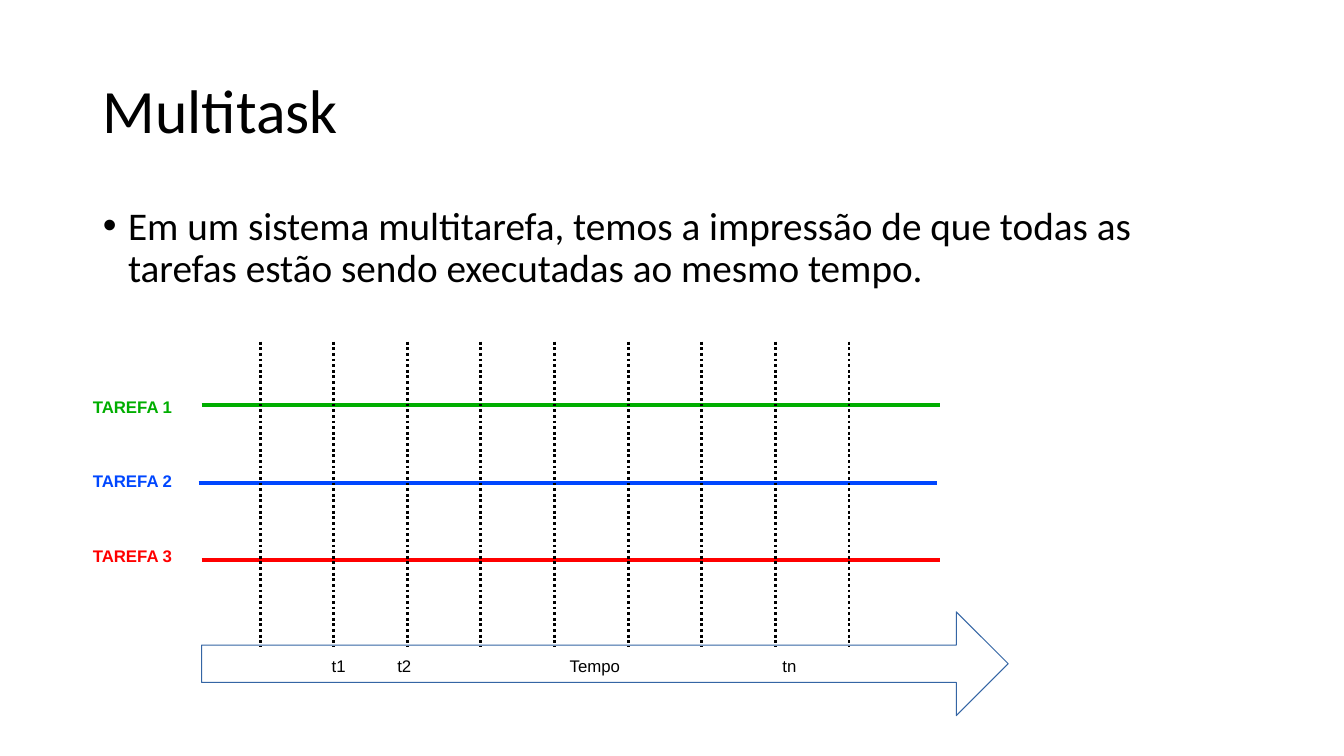
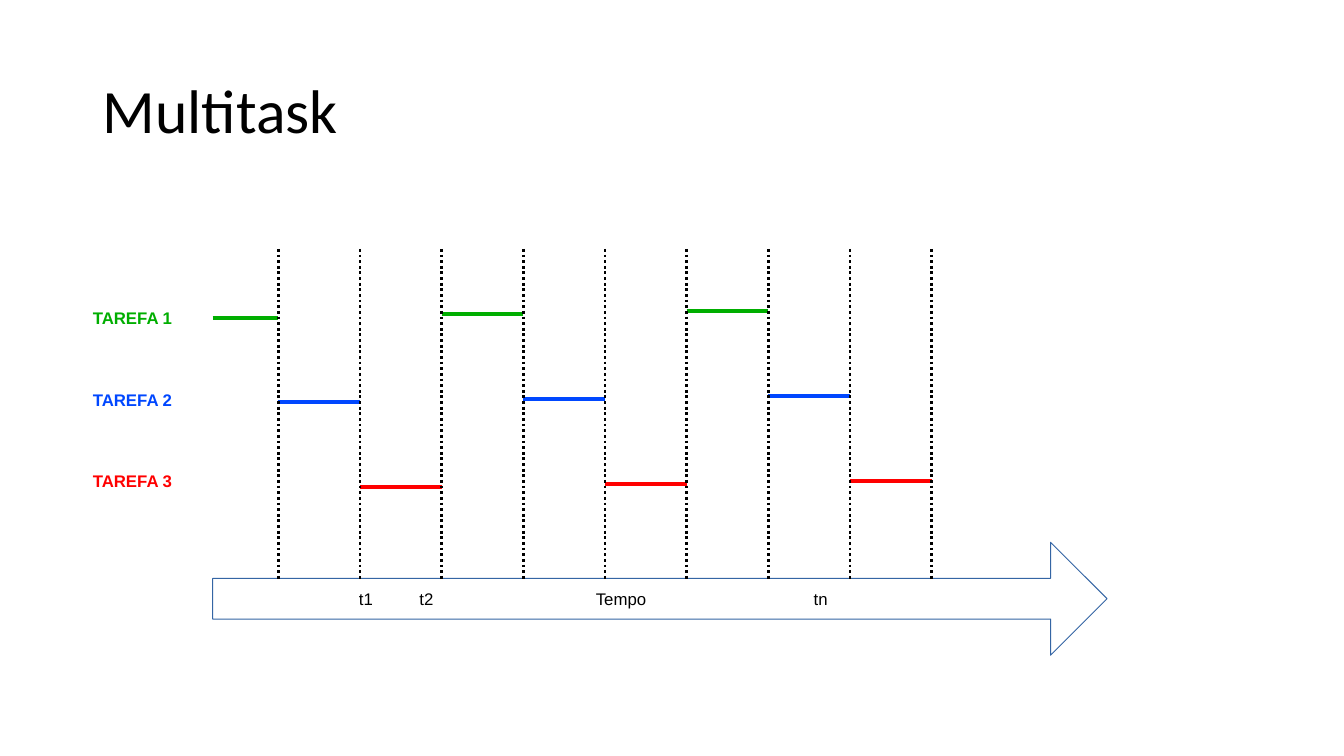
from dataclasses import dataclass

from lxml.etree import SubElement
from pptx import Presentation
from pptx.dml.color import RGBColor
from pptx.enum.dml import MSO_LINE
from pptx.enum.shapes import MSO_CONNECTOR, MSO_SHAPE
from pptx.enum.text import MSO_ANCHOR, MSO_AUTO_SIZE, PP_ALIGN
from pptx.oxml.ns import qn
from pptx.util import Inches, Pt

SLIDE_W, SLIDE_H = 13.33, 7.5
MARGIN = 0.92
CONTENT_W = 11.5
BLACK, ARROW_BLUE = "000000", "3465A4"
TASKS = [("TAREFA 1", "00AE00"), ("TAREFA 2", "0047FF"), ("TAREFA 3", "FF0000")]
TIME_LABELS = ["t1", "t2", "Tempo", "tn"]
TICK_COUNT = 9
TASK_LINE = 2.83
HAIRLINE = 0


@dataclass
class Timeline:
    """Measures of one task diagram, in inches."""
    left: float
    first_tick: float
    step: float
    top: float
    bottom: float
    lane_top: float
    lane_gap: float
    label_top: float
    label_gap: float
    label_size: tuple
    arrow_top: float
    arrow_size: tuple
    time_box: tuple
    time_tabs: tuple

    def tick(self, index):
        """Return the x position of a time tick."""
        return self.first_tick + index * self.step

    def lane(self, task):
        """Return the y position of a task's lane."""
        return self.lane_top + task * self.lane_gap


PARALLEL = Timeline(
    left=2, first_tick=2.58, step=0.73, top=3.39, bottom=6.41,
    lane_top=4.02, lane_gap=0.77, label_top=3.92, label_gap=0.74,
    label_size=(1.18, 0.35), arrow_top=6.07, arrow_size=(8, 1.03),
    time_box=(3.29, 6.49, 6.98, 0.35), time_tabs=(0.65, 2.36, 4.47))
ALTERNATING = Timeline(
    left=2.11, first_tick=2.76, step=0.81, top=2.47, bottom=5.76,
    lane_top=3.15, lane_gap=0.84, label_top=3.04, label_gap=0.81,
    label_size=(1.29, 0.37), arrow_top=5.38, arrow_size=(8.87, 1.12),
    time_box=(3.56, 5.83, 7.71, 0.37), time_tabs=(0.6, 2.35, 4.51))


def color(hex_code):
    """Turn a hex string into a colour."""
    return RGBColor.from_string(hex_code)


def add_run(paragraph, text, size, font_name, hex_code=BLACK, bold=False):
    """Add one formatted run."""
    run = paragraph.add_run()
    run.text = text
    run.font.size = Pt(size)
    run.font.name = font_name
    run.font.bold = bold
    run.font.color.rgb = color(hex_code)


def fill_placeholder(placeholder, box, text, size, anchor):
    """Move a placeholder and write its paragraph."""
    placeholder.left, placeholder.top, placeholder.width, placeholder.height = map(Inches, box)
    frame = placeholder.text_frame
    frame.auto_size = MSO_AUTO_SIZE.NONE
    frame.vertical_anchor = anchor
    paragraph = frame.paragraphs[0]
    paragraph.alignment = PP_ALIGN.LEFT
    paragraph.line_spacing = 0.9
    paragraph.space_before = Pt(0)
    add_run(paragraph, text, size, "Calibri")
    return paragraph


def add_title(slide, text):
    """Write the slide title."""
    fill_placeholder(slide.shapes.title, (MARGIN, 0.4, CONTENT_W, 1.45), text, 44, MSO_ANCHOR.MIDDLE)


def add_bullet(slide, text):
    """Write the bulleted body text."""
    paragraph = fill_placeholder(
        slide.placeholders[1], (MARGIN, 2, CONTENT_W, 4.76), text, 28, MSO_ANCHOR.TOP)
    properties = paragraph._p.get_or_add_pPr()
    properties.set("marL", str(Inches(0.25)))
    properties.set("indent", str(Inches(-0.25)))
    SubElement(properties, qn("a:buFont")).set("typeface", "Arial")
    SubElement(properties, qn("a:buChar")).set("char", "•")


def add_label(shapes, box, text, hex_code=BLACK, bold=False, tabs=()):
    """Add a small label, with optional tab stops."""
    frame = shapes.add_textbox(*map(Inches, box)).text_frame
    frame.word_wrap = True
    frame.margin_left = frame.margin_right = frame.margin_top = frame.margin_bottom = 0
    paragraph = frame.paragraphs[0]
    if tabs:
        stops = SubElement(paragraph._p.get_or_add_pPr(), qn("a:tabLst"))
        for position in tabs:
            stop = SubElement(stops, qn("a:tab"))
            stop.set("pos", str(Inches(position)))
            stop.set("algn", "l")
    paragraph.line_spacing = 1.07
    add_run(paragraph, text, 12, "Arial", hex_code, bold)


def add_line(shapes, start, end, hex_code, width, dash=None):
    """Add a straight line without a shadow."""
    connector = shapes.add_connector(MSO_CONNECTOR.STRAIGHT, *map(Inches, start + end))
    connector.line.color.rgb = color(hex_code)
    connector.line.width = Pt(width)
    if dash:
        connector.line.dash_style = dash
    SubElement(connector._element.spPr, qn("a:effectLst"))


def add_time_arrow(shapes, timeline):
    """Add the time arrow with its labels."""
    arrow = shapes.add_shape(
        MSO_SHAPE.RIGHT_ARROW,
        *map(Inches, (timeline.left, timeline.arrow_top) + timeline.arrow_size))
    arrow.adjustments[0] = 0.36
    arrow.adjustments[1] = 0.5
    arrow.shadow.inherit = False
    arrow.fill.background()
    arrow.line.color.rgb = color(ARROW_BLUE)
    arrow.line.width = Pt(HAIRLINE)
    add_label(shapes, timeline.time_box, "\t".join(TIME_LABELS), tabs=timeline.time_tabs)


def add_timeline(slide, timeline, periods):
    """Add the diagram; each period is task, start, end and height."""
    shapes = slide.shapes.add_group_shape().shapes
    add_time_arrow(shapes, timeline)
    for task, start, end, y in periods:
        add_line(shapes, (start, y), (end, y), TASKS[task][1], TASK_LINE)
    for index in range(TICK_COUNT):
        x = timeline.tick(index)
        add_line(shapes, (x, timeline.top), (x, timeline.bottom), BLACK, HAIRLINE, MSO_LINE.ROUND_DOT)
    for task, (name, hex_code) in enumerate(TASKS):
        y = timeline.label_top + task * timeline.label_gap
        add_label(shapes, (MARGIN, y) + timeline.label_size, name, hex_code, bold=True)


def parallel_periods(timeline):
    """Return one unbroken period for each task."""
    starts = (timeline.left, timeline.left - 0.03, timeline.left)
    return [(task, start, start + 7.32, timeline.lane(task)) for task, start in enumerate(starts)]


def alternating_periods(timeline):
    """Return periods in which the tasks take turns, rising a little each cycle."""
    edges = [timeline.left] + [timeline.tick(index) for index in range(TICK_COUNT)]
    periods = []
    for slot in range(TICK_COUNT):
        cycle, task = divmod(slot, len(TASKS))
        periods.append((task, edges[slot], edges[slot + 1], timeline.lane(task) - 0.03 * cycle))
    return periods


def main():
    """Build both slides and save them."""
    deck = Presentation()
    deck.slide_width, deck.slide_height = Inches(SLIDE_W), Inches(SLIDE_H)
    title_and_content, title_only = deck.slide_layouts[1], deck.slide_layouts[5]

    impression = deck.slides.add_slide(title_and_content)
    add_title(impression, "Multitask")
    add_bullet(impression, "Em um sistema multitarefa, temos a impressão de que todas as "
                           "tarefas estão sendo executadas ao mesmo tempo.")
    add_timeline(impression, PARALLEL, parallel_periods(PARALLEL))

    reality = deck.slides.add_slide(title_only)
    add_title(reality, "Multitask")
    add_timeline(reality, ALTERNATING, alternating_periods(ALTERNATING))

    deck.save("out.pptx")


if __name__ == "__main__":
    main()
